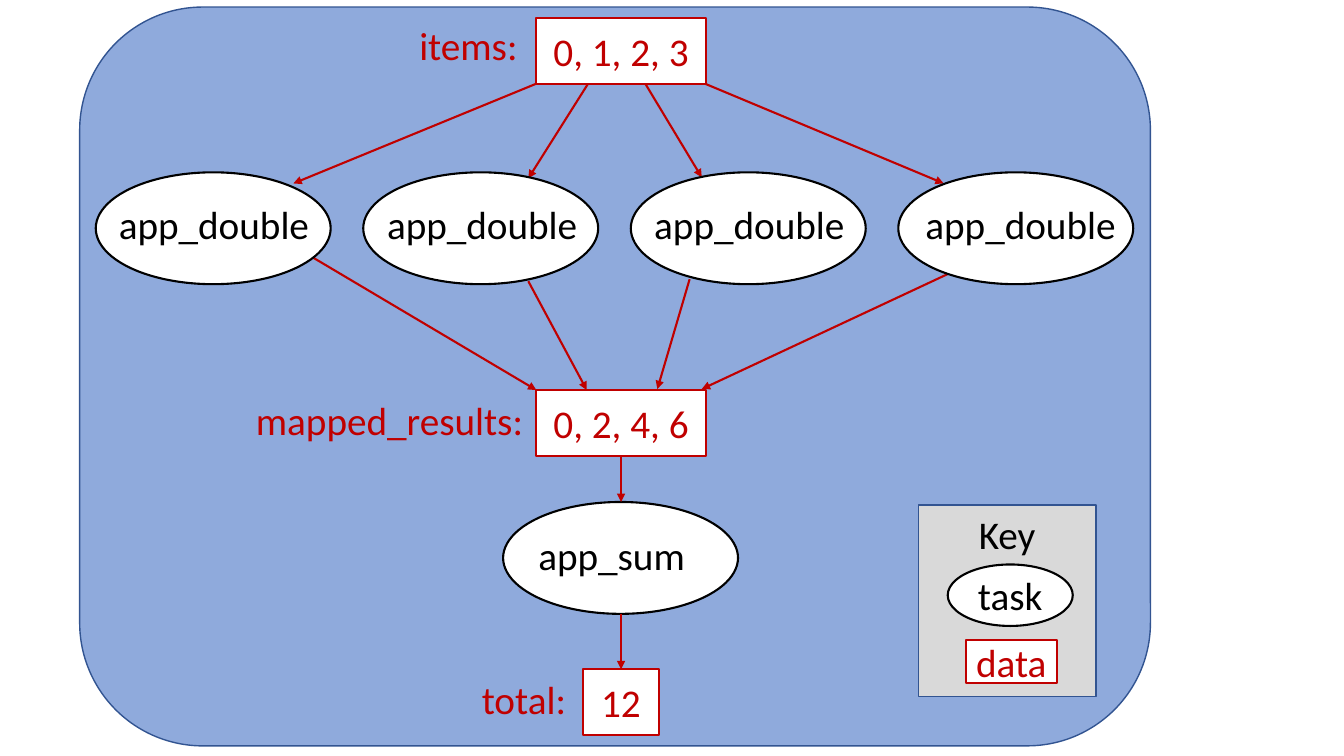
"""Builds a map-and-reduce workflow diagram with its key."""
from dataclasses import dataclass

import pptx
import pptx.dml.color
import pptx.enum.shapes
import pptx.enum.text
import pptx.oxml
import pptx.oxml.ns
import pptx.util
from pptx.util import Inches

SHAPES = pptx.enum.shapes.MSO_SHAPE
ANCHOR = pptx.enum.text.MSO_ANCHOR
ALIGN = pptx.enum.text.PP_ALIGN


@dataclass(frozen=True)
class Theme:
    """Colours, font and sizes of the diagram."""
    canvas: str = "8FAADC"
    key_fill: str = "D9D9D9"
    frame: str = "325491"
    task: str = "000000"
    data: str = "C00000"
    node_fill: str = "FFFFFF"
    font: str = "Calibri"
    text_size: float = 28
    frame_width: float = 1
    line_width: float = 1.5


class Diagram:
    """Draws workflow elements on one slide in one style."""

    def __init__(self, slide, theme):
        """Keep the slide and the theme."""
        self.slide = slide
        self.theme = theme

    def color(self, value):
        """Turn a hex string into a colour."""
        return pptx.dml.color.RGBColor.from_string(value)

    def set_text(self, frame, text, color, align, anchor):
        """Put one styled line of text in a text frame."""
        frame.word_wrap = False
        frame.vertical_anchor = anchor
        paragraph = frame.paragraphs[0]
        paragraph.text = text
        paragraph.alignment = align
        paragraph.font.name = self.theme.font
        paragraph.font.size = pptx.util.Pt(self.theme.text_size)
        paragraph.font.color.rgb = self.color(color)

    def shape(self, kind, box, fill, line, width):
        """Add a filled, outlined preset shape."""
        shape = self.slide.shapes.add_shape(kind, *map(Inches, box))
        shape.shadow.inherit = False
        shape.fill.solid()
        shape.fill.fore_color.rgb = self.color(fill)
        shape.line.color.rgb = self.color(line)
        shape.line.width = pptx.util.Pt(width)
        return shape

    def panel(self, kind, box, fill, heading=""):
        """Add a framed background area, with a heading if given."""
        panel = self.shape(kind, box, fill, self.theme.frame, self.theme.frame_width)
        if heading:
            self.set_text(panel.text_frame, heading, self.theme.task, ALIGN.CENTER, ANCHOR.TOP)

    def node(self, kind, box, color, text=""):
        """Add a white node, with centred text if given."""
        node = self.shape(kind, box, self.theme.node_fill, color, self.theme.line_width)
        if text:
            self.set_text(node.text_frame, text, color, ALIGN.CENTER, ANCHOR.MIDDLE)

    def task(self, box, text=""):
        """Add a task ellipse."""
        self.node(SHAPES.OVAL, box, self.theme.task, text)

    def data(self, box, text):
        """Add a data rectangle."""
        self.node(SHAPES.RECTANGLE, box, self.theme.data, text)

    def label(self, box, text, color):
        """Add a left-aligned text label."""
        frame = self.slide.shapes.add_textbox(*map(Inches, box)).text_frame
        self.set_text(frame, text, color, ALIGN.LEFT, ANCHOR.TOP)
        frame.auto_size = pptx.enum.text.MSO_AUTO_SIZE.SHAPE_TO_FIT_TEXT

    def arrow(self, start, end):
        """Add a data-flow arrow between two points."""
        arrow = self.slide.shapes.add_connector(
            pptx.enum.shapes.MSO_CONNECTOR.STRAIGHT, *map(Inches, start + end))
        arrow.line.color.rgb = self.color(self.theme.data)
        arrow.line.width = pptx.util.Pt(self.theme.line_width)
        namespace = pptx.oxml.ns.nsdecls("a")
        properties = arrow._element.spPr
        outline = properties.find(pptx.oxml.ns.qn("a:ln"))
        outline.append(pptx.oxml.parse_xml(f'<a:tailEnd {namespace} type="triangle"/>'))
        properties.append(pptx.oxml.parse_xml(f'<a:effectLst {namespace}/>'))


TASK_SIZE = (2.33, 1.11)
LIST_SIZE = (1.68, 0.65)
LIST_LEFT, CENTER = 5.32, 6.16
ITEMS_TOP, MAP_TOP, RESULTS_TOP, SUM_TOP, TOTAL_TOP = 0.18, 1.71, 3.87, 4.98, 6.64
MAP_LEFT, MAP_RIGHT = 0.95, 8.91
LABEL_LEFTS = (1.08, 3.74, 6.39, 9.08)
MAP_STEP = (MAP_RIGHT - MAP_LEFT) / (len(LABEL_LEFTS) - 1)

FLOWS = (
    # items to each app_double
    ((5.32, 0.83), (2.91, 1.82)),
    ((5.89, 0.74), (5.24, 1.77)),
    ((6.37, 0.78), (6.96, 1.76)),
    ((6.8, 0.75), (9.36, 1.82)),
    # each app_double to mapped_results
    ((2.91, 2.44), (LIST_LEFT, RESULTS_TOP)),
    ((5.24, 2.79), (5.82, RESULTS_TOP)),
    ((6.84, 2.77), (6.52, 3.86)),
    ((9.59, 2.63), (6.96, 3.86)),
    # mapped_results through app_sum to total
    ((CENTER, RESULTS_TOP + LIST_SIZE[1]), (CENTER, SUM_TOP)),
    ((CENTER, SUM_TOP + TASK_SIZE[1]), (CENTER, TOTAL_TOP)),
)

DATA_LABELS = (
    ("items:", (4.06, 0.16, 1.19, 0.57)),
    ("mapped_results:", (2.44, 3.88, 2.88, 0.57)),
    ("total:", (4.68, 6.65, 1.05, 0.57)),
)


def draw_workflow(diagram):
    """Draw the flow from the items to the total."""
    theme = diagram.theme
    diagram.task((4.99, SUM_TOP, *TASK_SIZE))
    diagram.label((5.24, 5.22, 1.89, 0.65), "app_sum", theme.task)
    for start, end in FLOWS:
        diagram.arrow(start, end)
    diagram.data((LIST_LEFT, ITEMS_TOP, *LIST_SIZE), "0, 1, 2, 3")
    diagram.data((LIST_LEFT, RESULTS_TOP, *LIST_SIZE), "0, 2, 4, 6")
    diagram.data((5.78, TOTAL_TOP, 0.76, 0.65), "12")
    for index, label_left in enumerate(LABEL_LEFTS):
        diagram.task((MAP_LEFT + index * MAP_STEP, MAP_TOP, *TASK_SIZE))
        diagram.label((label_left, 1.94, 2.39, 0.65), "app_double", theme.task)
    for text, box in DATA_LABELS:
        diagram.label(box, text, theme.data)


def draw_key(diagram):
    """Draw the key of node kinds."""
    diagram.panel(SHAPES.RECTANGLE, (9.11, 5.01, 1.76, 1.9), diagram.theme.key_fill, "Key")
    diagram.task((9.4, 5.6, 1.24, 0.61), "task")
    diagram.data((9.58, 6.35, 0.9, 0.43), "data")


def main():
    """Build and save the presentation."""
    deck = pptx.Presentation()
    deck.slide_width, deck.slide_height = Inches(13.33), Inches(7.5)
    slide = deck.slides.add_slide(deck.slide_layouts[6])
    diagram = Diagram(slide, Theme())
    diagram.panel(SHAPES.ROUNDED_RECTANGLE, (0.79, 0.07, 10.62, 7.33), diagram.theme.canvas)
    draw_workflow(diagram)
    draw_key(diagram)
    deck.save("out.pptx")


main()
